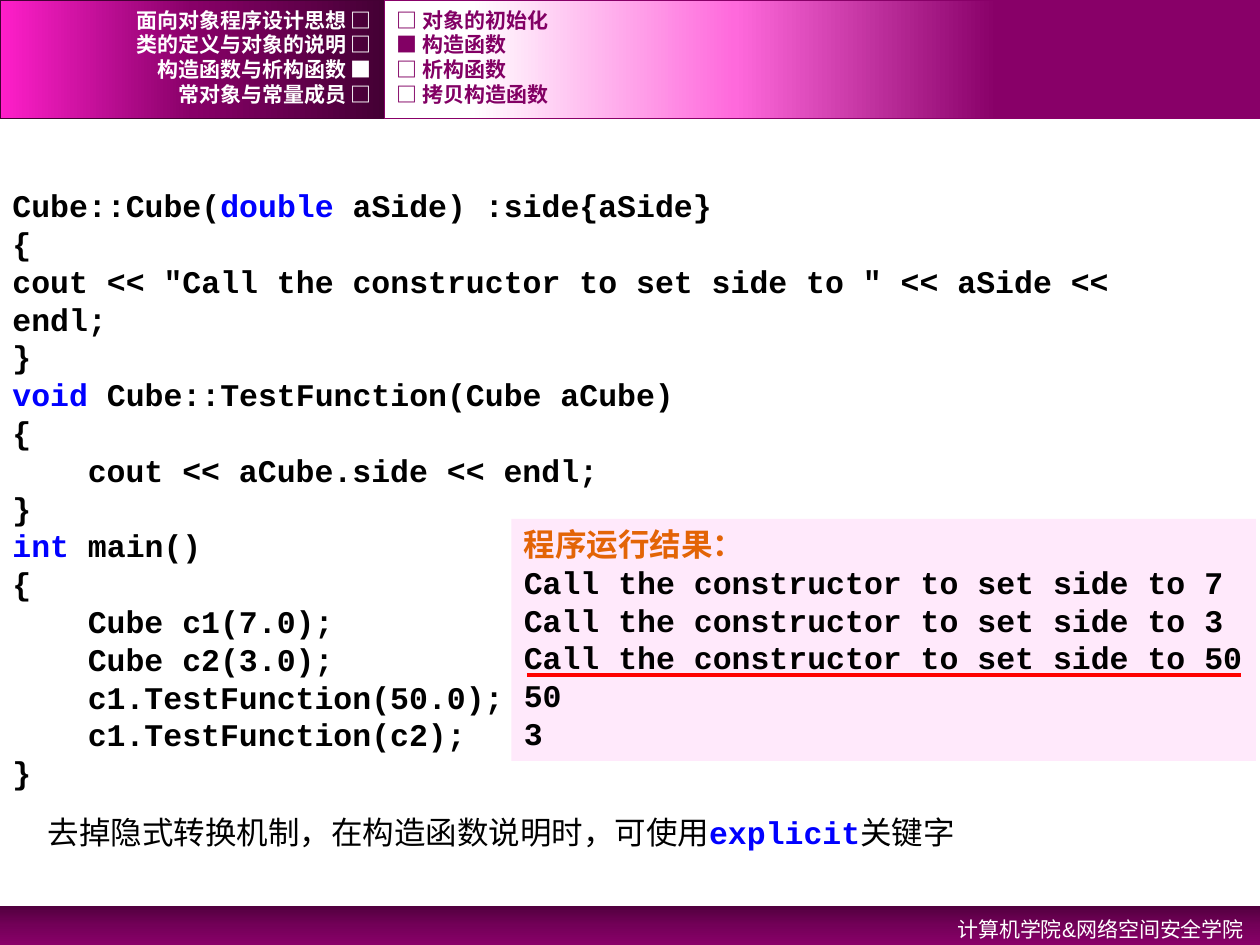
from copy import deepcopy
from pptx import Presentation
from pptx.util import Cm, Pt
from pptx.dml.color import RGBColor
from pptx.enum import shapes, text
from pptx.oxml import parse_xml
from pptx.oxml.ns import nsdecls

# Content: a line is a string or a list of parts; a part is text or (text, colour)
topics = ["面向对象程序设计思想 □", "类的定义与对象的说明 □",
          "构造函数与析构函数 ■", "常对象与常量成员 □"]
parts = ["□ 对象的初始化", "■ 构造函数", "□ 析构函数", "□ 拷贝构造函数"]
code = [
    ["Cube::Cube(", ("double ", "blue"), "aSide) :side{aSide}"],
    "{",
    'cout << "Call the constructor to set side to " << aSide << endl;',
    "}",
    [("void ", "blue"), "Cube::TestFunction(Cube aCube)"],
    "{",
    "\tcout << aCube.side << endl;",
    "}",
    [("int", "blue"), " main()"],
    "{",
    "\tCube c1(7.0);",
    "\tCube c2(3.0);",
    "\tc1.TestFunction(50.0);",
    "\tc1.TestFunction(c2);",
    "}",
]
title = "程序运行结果："
output = [f"Call the constructor to set side to {n}" for n in (7, 3, 50)] + ["50", "3"]
note = [["去掉隐式转换机制，在构造函数说明时，可使用", ("explicit", "blue"), "关键字"]]
school = ["计算机学院&网络空间安全学院"]

hues = {"black": "000000", "white": "FFFFFF", "blue": "0000FF", "red": "FF0000",
        "orange": "E36406", "pink": "FFE9FB", "plum": "820064", "wine": "880068",
        "dark": "440034"}
MONO, SANS = "Courier New", "Arial"
WIDE, HIGH = 25.4, 19.05
SPLIT, TOP = 7.75, 2.39       # header: where the halves meet, and its height
FOOT = 18.26                  # top of the footer bar
TAB = 1.52                    # four code characters

deck = Presentation()
deck.slide_width, deck.slide_height = Cm(WIDE), Cm(HIGH)
slide = deck.slides.add_slide(deck.slide_layouts[6])


def rgb(name):
    return RGBColor.from_string(hues.get(name, name))


def bar(x, y, w, h, stops=None, angle=0, fill=None, line=None):
    box = slide.shapes.add_shape(shapes.MSO_SHAPE.RECTANGLE, Cm(x), Cm(y), Cm(w), Cm(h))
    box.shadow.inherit = False
    if stops:
        box.fill.gradient()
        box.fill.gradient_angle = angle
        first = box.fill.gradient_stops[0]._gs
        first.getparent().append(deepcopy(first))
        for stop, (place, hue) in zip(box.fill.gradient_stops, stops):
            stop.position = place
            stop.color.rgb = rgb(hue)
    else:
        box.fill.solid()
        box.fill.fore_color.rgb = rgb(fill)
    if line:
        box.line.color.rgb = rgb(line)
        box.line.width = Pt(1)
    else:
        box.line.fill.background()
    return box


def write(lines, at=None, box=None, size=18, font=MONO, hue="black", bold=True,
          align="LEFT", anchor="TOP", gap=None, head=None):
    """Put lines into a box, or a new text box; head is an orange first line."""
    box = box or slide.shapes.add_textbox(*map(Cm, at))
    frame = box.text_frame
    frame.word_wrap = True
    frame.vertical_anchor = getattr(text.MSO_ANCHOR, anchor)
    rows = [[(head, "orange")]] + lines if head else lines
    for i, row in enumerate(rows):
        para = frame.paragraphs[0] if i == 0 else frame.add_paragraph()
        para.alignment = getattr(text.PP_ALIGN, align)
        if gap:
            para.line_spacing = gap
        if isinstance(row, str):
            if row.startswith("\t"):
                para._p.get_or_add_pPr().set("marL", str(Cm(TAB)))
            row = [row.lstrip("\t")]
        for part in row:
            words, tint = (part, hue) if isinstance(part, str) else part
            run = para.add_run()
            run.text = words
            run.font.name = SANS if tint == "orange" else font
            run.font.size = Pt(size)
            run.font.bold = bold or tint == "blue"
            run.font.color.rgb = rgb(tint)


# Footer and header bars
bar(0, FOOT, WIDE, HIGH - FOOT, angle=270,
    stops=[(0, "51003E"), (0.5, "730058"), (1, "wine")])
bar(0, 0, SPLIT, TOP, angle=180, line="dark",
    stops=[(0, "dark"), (0.5, "wine"), (1, "FF1FCA")])
bar(SPLIT, 0, WIDE - SPLIT, TOP, angle=180, line="wine",
    stops=[(0.3, "wine"), (0.6, "FF69DC"), (0.9, "white")])
write(school, (16.31, FOOT, 9.02, 0.81), size=12, font=SANS, hue="white",
      bold=False, align="RIGHT", gap=1.2)

# Header outline: topics on the left, parts on the right
for i, (topic, part) in enumerate(zip(topics, parts)):
    y = 0.15 + 0.5 * i
    write([topic], (0, y, SPLIT, 0.5), size=12, hue="white", align="RIGHT", anchor="MIDDLE")
    write([part], (SPLIT, y, 15.29, 0.5), size=12, hue="plum", anchor="MIDDLE")

# Code, its output and the note
write(code, (0, 3.63, 24.61, 11.79))
write(output, box=bar(10.31, 10.46, 15.01, 4.88, fill="pink"), head=title)
write(note, (0.71, 16.26, 22.61, 1.02), bold=False)

# Red underline
rule = slide.shapes.add_connector(shapes.MSO_CONNECTOR.STRAIGHT,
                                  Cm(10.62), Cm(13.61), Cm(25.02), Cm(13.61))
rule.line.color.rgb = rgb("red")
rule.line.width = Pt(2.25)
rule._element.spPr.append(parse_xml(f"<a:effectLst {nsdecls('a')}/>"))

deck.save("out.pptx")
